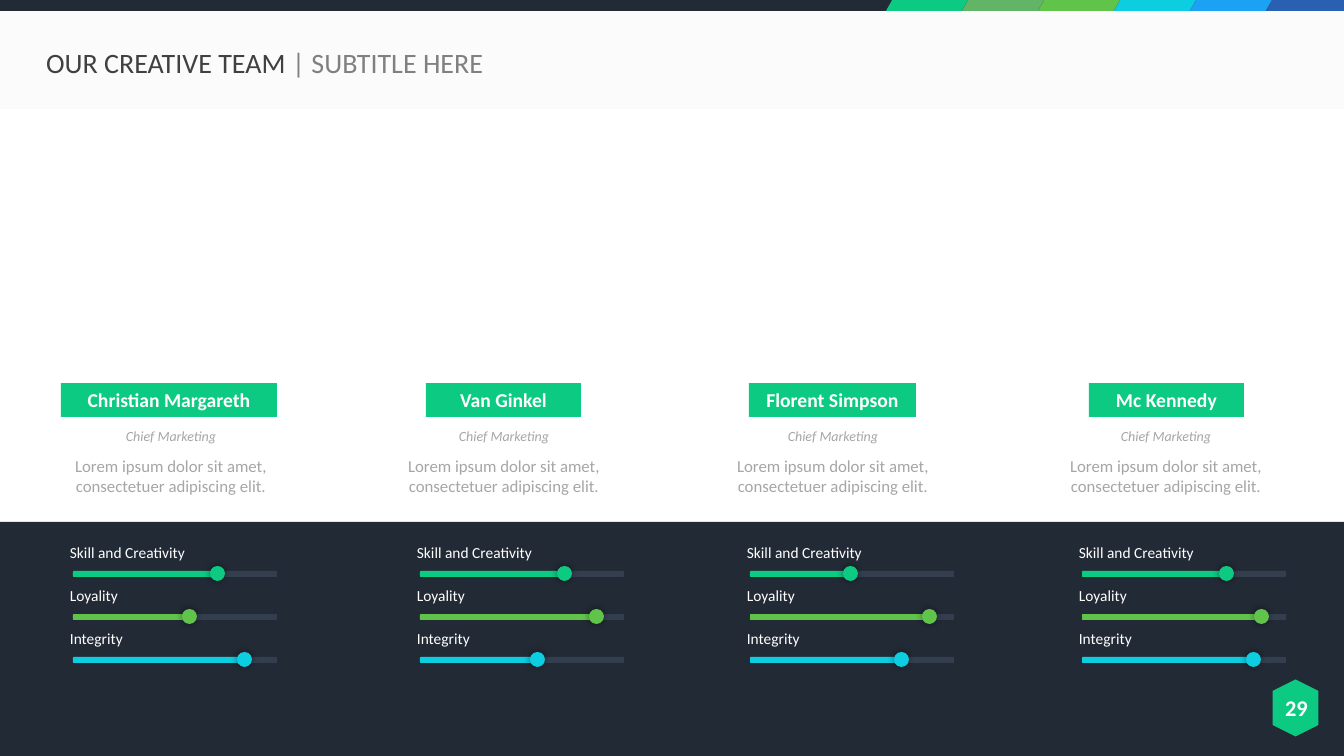
import pptx
import pptx.util
import pptx.dml.color
import pptx.enum.shapes
import pptx.enum.text
import pptx.oxml
import pptx.oxml.ns

RGBColor = pptx.dml.color.RGBColor
SHAPE = pptx.enum.shapes.MSO_SHAPE
ALIGN = pptx.enum.text.PP_ALIGN
ANCHOR = pptx.enum.text.MSO_ANCHOR

PX = 914400 / 100.8
WIDTH, HEIGHT = 1344, 756
FONT = "Calibri"

NAVY = RGBColor(0x22, 0x2A, 0x35)
SLATE = RGBColor(0x33, 0x3E, 0x4F)
MIST = RGBColor(0xF2, 0xF2, 0xF2)
CHARCOAL = RGBColor(0x40, 0x40, 0x40)
GREY = RGBColor(0x80, 0x80, 0x80)
SILVER = RGBColor(0xA6, 0xA6, 0xA6)
WHITE = RGBColor(0xFF, 0xFF, 0xFF)
EMERALD = RGBColor(0x0C, 0xCA, 0x82)
SAGE = RGBColor(0x62, 0xB4, 0x66)
GREEN = RGBColor(0x61, 0xC4, 0x4A)
CYAN = RGBColor(0x0D, 0xCD, 0xE1)
SKY = RGBColor(0x1B, 0xA2, 0xF5)
BLUE = RGBColor(0x29, 0x60, 0xB1)

SKILLS = [("Skill and Creativity", EMERALD), ("Loyality", GREEN), ("Integrity", CYAN)]
TEAM = [
    {"name": "Christian Margareth", "centre": 171, "tag": (61, 216), "bars": 73, "levels": (144, 116, 171)},
    {"name": "Van Ginkel", "centre": 504, "tag": (426, 155), "bars": 420, "levels": (144, 176, 117)},
    {"name": "Florent Simpson", "centre": 833, "tag": (749, 167), "bars": 750, "levels": (100, 179, 151)},
    {"name": "Mc Kennedy", "centre": 1166, "tag": (1089, 155), "bars": 1082, "levels": (144, 179, 171)},
]


def emu(*lengths):
    """Turn px lengths into EMU."""
    return [pptx.util.Emu(round(length * PX)) for length in lengths]


def paint(shape, colour):
    """Give a shape a plain fill without line or shadow."""
    shape.shadow.inherit = False
    shape.fill.solid()
    shape.fill.fore_color.rgb = colour
    shape.line.fill.background()
    return shape


def add_block(shapes, kind, box, colour):
    """Add a filled preset shape at a px box."""
    return paint(shapes.add_shape(kind, *emu(*box)), colour)


def write(frame, text, size=12, colour=WHITE, bold=False, italic=False,
          align=ALIGN.LEFT, anchor=ANCHOR.TOP):
    """Append a formatted run to the first paragraph of a frame."""
    frame.word_wrap = True
    frame.vertical_anchor = anchor
    paragraph = frame.paragraphs[0]
    paragraph.alignment = align
    run = paragraph.add_run()
    run.text = text
    run.font.name = FONT
    run.font.size = pptx.util.Pt(size)
    run.font.color.rgb = colour
    run.font.bold = bold
    run.font.italic = italic


def add_label(shapes, box, text, **style):
    """Add a text box at a px box."""
    write(shapes.add_textbox(*emu(*box)).text_frame, text, **style)


def set_alpha(shape, percent):
    """Make the solid fill of a shape partly transparent."""
    colour = shape.fill._xPr.find(".//" + pptx.oxml.ns.qn("a:srgbClr"))
    colour.append(pptx.oxml.parse_xml(
        f'<a:alpha {pptx.oxml.ns.nsdecls("a")} val="{percent * 1000}"/>'))


def add_glow(shape):
    """Add a soft black shadow around a shape."""
    effects = shape.element.spPr.find(pptx.oxml.ns.qn("a:effectLst"))
    effects.append(pptx.oxml.parse_xml(
        f'<a:outerShdw {pptx.oxml.ns.nsdecls("a")} blurRad="63500" dist="0" algn="ctr" rotWithShape="0">'
        '<a:srgbClr val="000000"><a:alpha val="40000"/></a:srgbClr></a:outerShdw>'))


def add_ribbon(shapes, left, top, width, height):
    """Draw the dark top strip with its slanted colour pieces."""
    add_block(shapes, SHAPE.RECTANGLE, (left, top, width, height), NAVY)
    start, pitch, slant = left + 886, 76, 6
    colours = [EMERALD, SAGE, GREEN, CYAN, SKY]
    for index, colour in enumerate(colours):
        box = (start + index * pitch, top, pitch + slant, height)
        add_block(shapes, SHAPE.PARALLELOGRAM, box, colour).adjustments[0] = 0.56
    end, right = start + len(colours) * pitch, left + width
    corner = shapes.build_freeform(end + slant, top, scale=PX)
    corner.add_line_segments([(right, top), (right, top + height), (end, top + height)])
    paint(corner.convert_to_shape(), BLUE)


def add_header(slide, left, top, width, height):
    """Draw the pale header band and set the title on it."""
    set_alpha(add_block(slide.shapes, SHAPE.RECTANGLE, (left, top, width, height), MIST), 29)
    title = slide.shapes.title
    title.left, title.top, title.width, title.height = emu(left + 36, top + 26, 748, 55)
    frame = title.text_frame
    write(frame, "OUR CREATIVE TEAM ", size=20, colour=CHARCOAL, anchor=ANCHOR.MIDDLE)
    write(frame, "| SUBTITLE HERE", size=20, colour=GREY, anchor=ANCHOR.MIDDLE)
    frame.auto_size = pptx.enum.text.MSO_AUTO_SIZE.NONE
    frame.paragraphs[0].line_spacing = 0.9
    title.element.getparent().append(title.element)


def add_profile(shapes, member, top):
    """Place the name tag, role and summary of a team member."""
    tag_left, tag_width = member["tag"]
    tag = add_block(shapes, SHAPE.RECTANGLE, (tag_left, top, tag_width, 34), EMERALD)
    write(tag.text_frame, member["name"], size=14, bold=True, align=ALIGN.CENTER, anchor=ANCHOR.MIDDLE)
    centre = member["centre"]
    add_label(shapes, (centre - 135, top + 68, 270, 50),
              "Lorem ipsum dolor sit amet, consectetuer adipiscing elit.",
              colour=SILVER, align=ALIGN.CENTER)
    add_label(shapes, (centre - 125, top + 40, 250, 27), "Chief Marketing",
              size=10, colour=SILVER, italic=True, align=ALIGN.CENTER)


def add_skills(shapes, left, top, levels):
    """Stack the labelled skill sliders in one group."""
    group = shapes.add_group_shape().shapes
    for row, ((skill, colour), level) in enumerate(zip(SKILLS, levels)):
        label_top = top + row * 43
        bar_top = label_top + 33
        add_label(group, (left - 13, label_top, 194, 29), skill, size=11)
        for length, shade in ((204, SLATE), (level, colour)):
            add_block(group, SHAPE.ROUNDED_RECTANGLE, (left, bar_top, length, 6), shade)
        add_glow(add_block(group, SHAPE.OVAL, (left + level - 7, bar_top - 5, 15, 15), colour))


def add_page_number(shapes, left, top, number):
    """Draw the upright hexagon with the page number."""
    add_block(shapes, SHAPE.HEXAGON, (left, top, 57, 46), EMERALD).rotation = 90
    add_label(shapes, (left - 1, top + 4, 61, 37), number, size=16, bold=True, align=ALIGN.CENTER)


def build_team_slide(deck):
    """Compose the team slide from its regions."""
    slide = deck.slides.add_slide(deck.slide_layouts[5])
    shapes = slide.shapes
    floor = 522
    add_block(shapes, SHAPE.RECTANGLE, (0, floor, WIDTH, HEIGHT - floor), NAVY)
    add_header(slide, 0, 11, WIDTH, 98)
    add_ribbon(shapes, 0, 0, WIDTH, 11)
    add_page_number(shapes, 1267, 685, "29")
    for member in TEAM:
        add_profile(shapes, member, 383)
        add_skills(shapes, member["bars"], floor + 16, member["levels"])


def main():
    """Build and save the deck."""
    deck = pptx.Presentation()
    deck.slide_width, deck.slide_height = emu(WIDTH, HEIGHT)
    build_team_slide(deck)
    deck.save("out.pptx")


if __name__ == "__main__":
    main()
